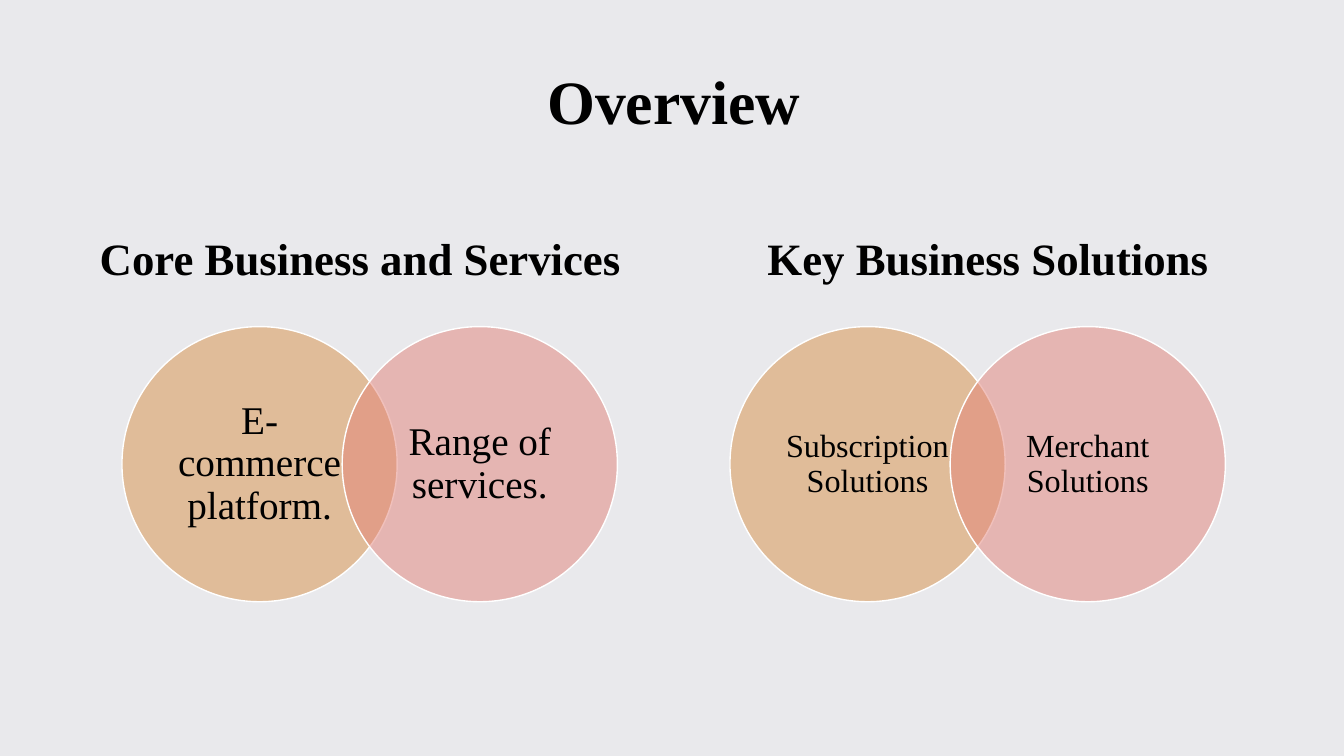
from lxml.etree import SubElement
from pptx import Presentation
from pptx.dml.color import RGBColor
from pptx.enum.shapes import MSO_SHAPE
from pptx.enum.text import MSO_ANCHOR, PP_ALIGN
from pptx.oxml.ns import qn
from pptx.util import Inches, Pt

FONT = "Times New Roman"
BACKGROUND, INK, OUTLINE = "E9E9EC", "000000", "FFFFFF"
CIRCLE_COLOURS = ("D99147", "E38379")
DIAMETER = 2.73
CIRCLE_STEP = 0.8 * DIAMETER
LABEL_SIDE = DIAMETER / 2 ** 0.5  # square inscribed in a circle


def paint(fill, colour, opacity=100):
    """Fill with a hex colour at an opacity in percent."""
    fill.solid()
    fill.fore_color.rgb = RGBColor.from_string(colour)
    if opacity < 100:
        # python-pptx has no public setting for transparency
        solid = fill._xPr.find(qn("a:solidFill"))
        SubElement(solid[0], qn("a:alpha"), val=str(opacity * 1000))


def add_text(slide, text, box, size, bold=False, align=PP_ALIGN.CENTER,
             anchor=MSO_ANCHOR.TOP, side_inset=0.1, edge_inset=0.05, spacing=1.0):
    frame = slide.shapes.add_textbox(*map(Inches, box)).text_frame
    frame.word_wrap = True
    frame.vertical_anchor = anchor
    frame.margin_left = frame.margin_right = Inches(side_inset)
    frame.margin_top = frame.margin_bottom = Inches(edge_inset)
    paragraph = frame.paragraphs[0]
    paragraph.alignment = align
    paragraph.line_spacing = spacing
    run = paragraph.add_run()
    run.text = text
    run.font.name, run.font.size, run.font.bold = FONT, Pt(size), bold
    paint(run.font.fill, INK)


def add_circle(slide, left, top, colour):
    circle = slide.shapes.add_shape(
        MSO_SHAPE.OVAL, *map(Inches, (left, top, DIAMETER, DIAMETER)))
    circle.shadow.inherit = False
    paint(circle.fill, colour, opacity=50)
    paint(circle.line.fill, OUTLINE)
    circle.line.width = Pt(1)


def add_venn(slide, left, top, labels, size):
    """Draw overlapping circles in a row, each with a centred label."""
    inset = (DIAMETER - LABEL_SIDE) / 2
    for index, (label, colour) in enumerate(zip(labels, CIRCLE_COLOURS)):
        circle_left = left + index * CIRCLE_STEP
        add_circle(slide, circle_left, top, colour)
        add_text(slide, label,
                 (circle_left + inset, top + inset, LABEL_SIDE, LABEL_SIDE),
                 size, anchor=MSO_ANCHOR.MIDDLE, side_inset=0.15,
                 edge_inset=0.04, spacing=0.9)


def add_topic(slide, left, heading, align, venn_offset, labels, label_size):
    """Place a heading with its pair of circles below."""
    add_text(slide, heading, (left, 2.24, 5.78, 0.64), 32, bold=True, align=align)
    add_venn(slide, left + venn_offset, 3.24, labels, label_size)


def main():
    deck = Presentation()
    deck.slide_width, deck.slide_height = Inches(13.33), Inches(7.5)
    slide = deck.slides.add_slide(deck.slide_layouts[6])
    paint(slide.background.fill, BACKGROUND)
    add_text(slide, "Overview", (0.2, 0.09, 12.97, 1.32), 44, bold=True,
             anchor=MSO_ANCHOR.BOTTOM)
    add_topic(slide, 0.89, "Core Business and Services", PP_ALIGN.LEFT, 0.32,
              ("E-commerce platform.", "Range of services."), 28)
    add_topic(slide, 6.91, "Key Business Solutions", PP_ALIGN.CENTER, 0.33,
              ("Subscription Solutions", "Merchant Solutions"), 23)
    deck.save("out.pptx")


if __name__ == "__main__":
    main()
